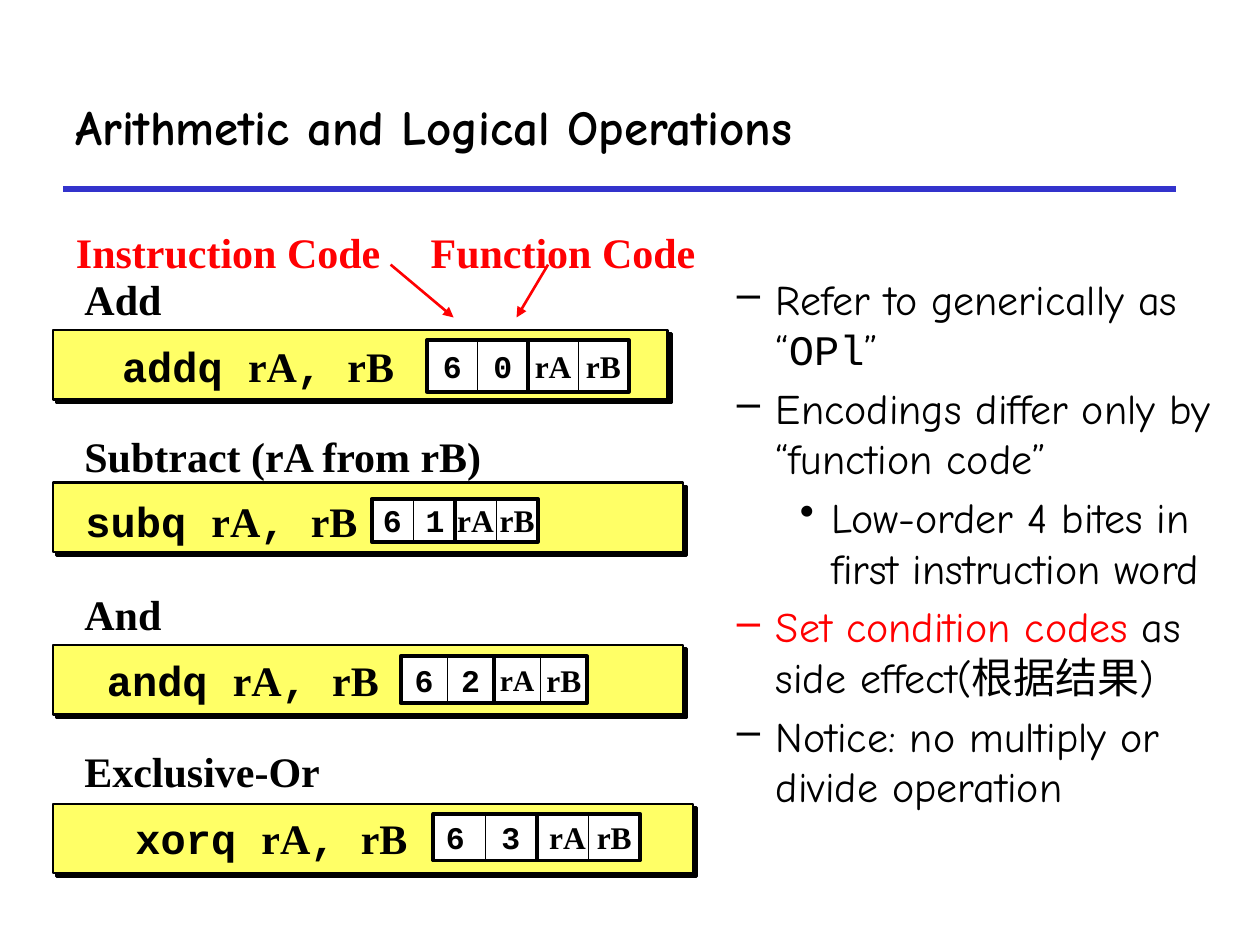
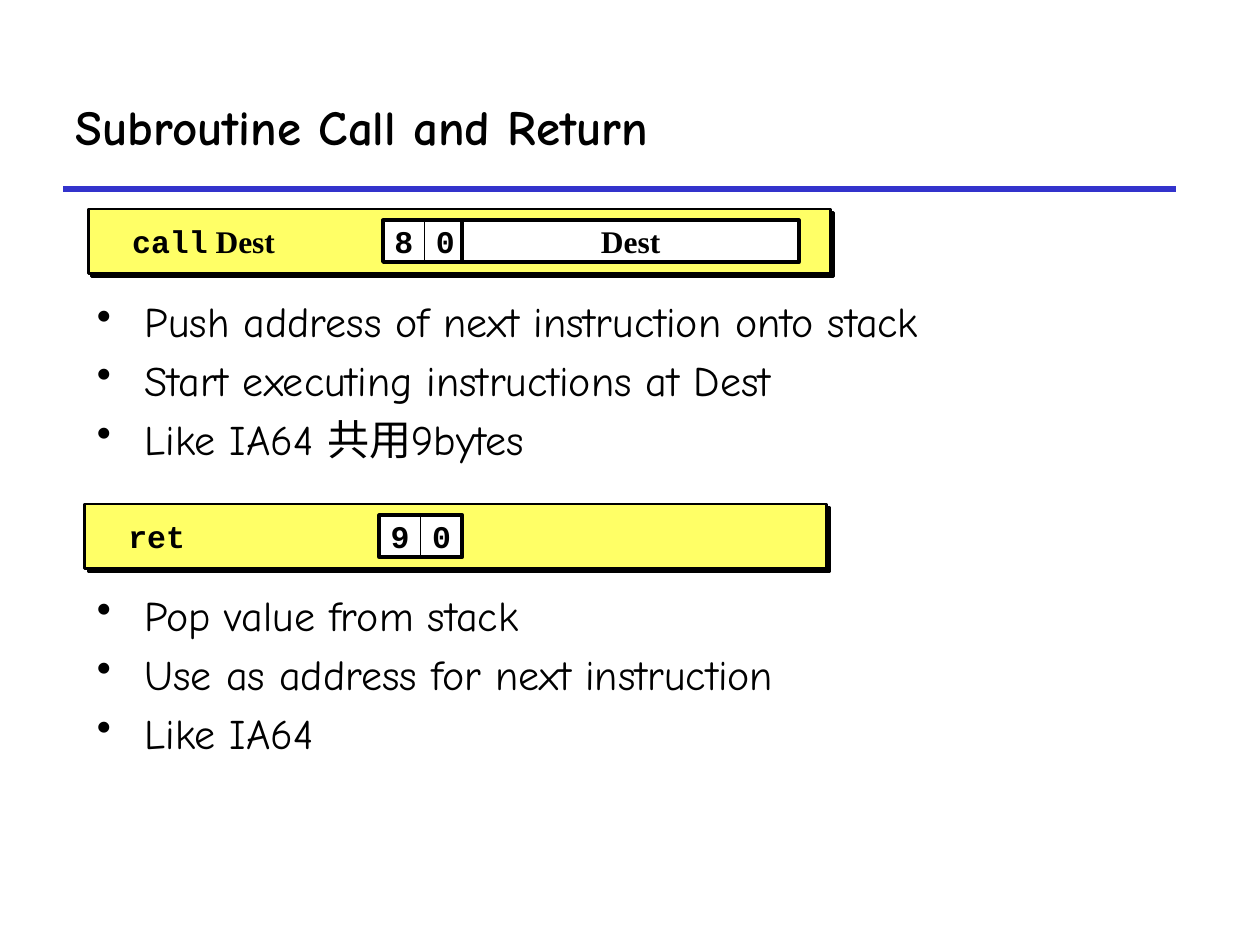
from lxml import etree
from pptx import Presentation
from pptx.dml.color import RGBColor
from pptx.enum.shapes import MSO_CONNECTOR, MSO_SHAPE
from pptx.enum.text import MSO_ANCHOR, PP_ALIGN
from pptx.oxml.ns import qn
from pptx.util import Inches, Pt

RECTANGLE = MSO_SHAPE.RECTANGLE
STRAIGHT = MSO_CONNECTOR.STRAIGHT
TOP, MIDDLE = MSO_ANCHOR.TOP, MSO_ANCHOR.MIDDLE
LEFT, CENTER, RIGHT = PP_ALIGN.LEFT, PP_ALIGN.CENTER, PP_ALIGN.RIGHT

BLACK = RGBColor(0x00, 0x00, 0x00)
WHITE = RGBColor(0xFF, 0xFF, 0xFF)
YELLOW = RGBColor(0xFF, 0xFF, 0x66)
RULE_BLUE = RGBColor(0x33, 0x33, 0xCC)
RED = RGBColor(0xFF, 0x00, 0x00)
CALLOUT_RED = RGBColor(0xFF, 0x00, 0x02)

COMIC, MONO, SERIF = "Comic Neue", "Courier New", "Times New Roman"

BULLETS = {0: ("•", 0.38, -0.38), 1: ("–", 0.81, -0.31), 2: ("•", 1.25, -0.25)}

ARITHMETIC_TITLE = "Arithmetic and Logical Operations"
CALLOUTS = [
    ("Instruction Code", 0.3, 2.77, (3.1, 2.1), (3.6, 2.52)),
    ("Function Code", 3.26, 2.31, (4.35, 2.1), (4.1, 2.52)),
]
OPERATIONS = [
    dict(label="Add", label_width=0.75, mnemonic="addq", code="0",
         bar=(2.62, 4.88), name_left=0.87, fields=(3.39, 2.7, 0.4, 0.41)),
    dict(label="Subtract (rA from rB)", label_width=3.76, mnemonic="subq", code="1",
         bar=(3.83, 5), name_left=0.58, fields=(2.95, 3.96, 0.33, 0.34),
         left_aligned=("1",)),
    dict(label="And", label_width=0.73, mnemonic="andq", code="2",
         bar=(5.12, 5), name_left=0.75, fields=(3.18, 5.21, 0.37, 0.37),
         sizes={"rA": 17}),
    dict(label="Exclusive-Or", label_width=2.13, mnemonic="xorq", code="3",
         bar=(6.38, 5.08), name_left=0.87, fields=(3.44, 6.46, 0.41, 0.37),
         left_aligned=("6", "rA"), name_align=CENTER),
]
OPERATION_NOTES = [
    (1, [("Refer to generically as “", COMIC, BLACK), ("OPl", MONO, BLACK), ("”", COMIC, BLACK)]),
    (1, [("Encodings differ only by “function code”", COMIC, BLACK)]),
    (2, [("Low-order 4 bites in first instruction word", COMIC, BLACK)]),
    (1, [("Set condition codes", COMIC, RED), (" as side effect(根据结果)", COMIC, BLACK)]),
    (1, [("Notice: no multiply or divide operation", COMIC, BLACK)]),
]

SUBROUTINE_TITLE = "Subroutine Call and Return"
SUBROUTINES = [
    dict(name=[("call", MONO), (" Dest", SERIF)], codes="80", target="Dest",
         origin=(0.7, 1.66), notes_top=2.3,
         notes=["Push address of next instruction onto stack",
                "Start executing instructions at Dest",
                "Like IA64 共用9bytes"]),
    dict(name=[("ret", MONO)], codes="90", target=None,
         origin=(0.67, 4), notes_top=4.63,
         notes=["Pop value from stack",
                "Use as address for next instruction",
                "Like IA64"]),
]


def box(at):
    return [Inches(length) for length in at]


def add_run(paragraph, text, font, size, color=BLACK, bold=True):
    run = paragraph.add_run()
    run.text = text
    run.font.name, run.font.size = font, Pt(size)
    run.font.bold, run.font.color.rgb = bold, color


def set_frame(frame, anchor, wrap, inset_x=0.1):
    frame.word_wrap, frame.vertical_anchor = wrap, anchor
    frame.margin_left = frame.margin_right = Inches(inset_x)
    frame.margin_top = frame.margin_bottom = Inches(0.05)


def add_text(slide, at, runs, size, align=LEFT, anchor=MIDDLE, wrap=False, inset_x=0.1, color=BLACK):
    frame = slide.shapes.add_textbox(*box(at)).text_frame
    set_frame(frame, anchor, wrap, inset_x)
    frame.paragraphs[0].alignment = align
    for text, font in runs:
        add_run(frame.paragraphs[0], text, font, size, color)


def add_rectangle(slide, at, fill, line_width):
    rectangle = slide.shapes.add_shape(RECTANGLE, *box(at))
    rectangle.shadow.inherit = False
    if fill is None:
        rectangle.fill.background()
    else:
        rectangle.fill.solid()
        rectangle.fill.fore_color.rgb = fill
    rectangle.line.color.rgb = BLACK
    rectangle.line.width = Pt(line_width)
    return rectangle


def add_bar(slide, at):
    bar = add_rectangle(slide, at, YELLOW, 1.5)
    effects = bar._element.spPr.find(qn("a:effectLst"))
    shadow = etree.SubElement(effects, qn("a:outerShdw"), dist=str(Pt(2.8)),
                              dir="2700000", algn="ctr", rotWithShape="0")
    etree.SubElement(shadow, qn("a:srgbClr"), val=str(BLACK))


def add_field(slide, at, text, font, size=18, align=CENTER, line_width=0.5):
    field = add_rectangle(slide, at, WHITE, line_width)
    set_frame(field.text_frame, MIDDLE, False)
    paragraph = field.text_frame.paragraphs[0]
    paragraph.alignment = align
    add_run(paragraph, text, font, size)


def add_field_pair(slide, at, texts, font, sizes={}, left_aligned=()):
    left, top, width, height = at
    for i, text in enumerate(texts):
        add_field(slide, (left + i * width, top, width, height), text, font,
                  sizes.get(text, 18), LEFT if text in left_aligned else CENTER)
    add_rectangle(slide, (left, top, 2 * width, height), None, 2.25)


def add_line(slide, start, end, color, width, arrow=False):
    line = slide.shapes.add_connector(STRAIGHT, *box(start + end))
    line.line.color.rgb = color
    line.line.width = Pt(width)
    if arrow:
        etree.SubElement(line.line._get_or_add_ln(), qn("a:tailEnd"), type="triangle")
    etree.SubElement(line._element.spPr, qn("a:effectLst"))


def add_notes(slide, at, notes):
    frame = slide.shapes.add_textbox(*box(at)).text_frame
    set_frame(frame, TOP, True)
    for i, (level, runs) in enumerate(notes):
        paragraph = frame.add_paragraph() if i else frame.paragraphs[0]
        bullet, margin, indent = BULLETS[level]
        properties = paragraph._p.get_or_add_pPr()
        properties.set("marL", str(Inches(margin)))
        properties.set("indent", str(Inches(indent)))
        etree.SubElement(properties, qn("a:buChar"), char=bullet)
        paragraph.level = level
        if i:
            paragraph.space_before = Pt(4.8)
        for text, font, color in runs:
            add_run(paragraph, text, font, 24, color, bold=False)


def add_titled_slide(deck, title):
    slide = deck.slides.add_slide(deck.slide_layouts[6])
    add_line(slide, (0.5, 1.5), (9.33, 1.5), RULE_BLUE, 3)
    add_text(slide, (0.5, 0.5, 8.83, 1), [(title, COMIC)], 28, wrap=True)
    return slide


def build_arithmetic(deck):
    slide = add_titled_slide(deck, ARITHMETIC_TITLE)
    add_notes(slide, (5.25, 2.12, 4.65, 5.05), OPERATION_NOTES)
    for i, operation in enumerate(OPERATIONS):
        bar_top, bar_width = operation["bar"]
        left, top, width, height = operation["fields"]
        name_left = operation["name_left"]
        left_aligned = operation.get("left_aligned", ())
        add_bar(slide, (0.42, bar_top, bar_width, 0.55))
        name = [(operation["mnemonic"] + " ", MONO), ("rA", SERIF), (", ", MONO), ("rB", SERIF)]
        add_text(slide, (name_left, top, left - name_left, height), name, 24,
                 operation.get("name_align", LEFT))
        add_field_pair(slide, (left, top, width, height), ("6", operation["code"]), MONO,
                       left_aligned=left_aligned)
        add_field_pair(slide, (left + 2 * width, top, width, height), ("rA", "rB"), SERIF,
                       operation.get("sizes", {}), left_aligned)
        add_text(slide, (0.62, 2.12 + 1.25 * i, operation["label_width"], 0.51),
                 [(operation["label"], SERIF)], 24, anchor=TOP, inset_x=0.05)
    for text, left, width, start, end in CALLOUTS:
        add_line(slide, start, end, CALLOUT_RED, 1.5, arrow=True)
        add_text(slide, (left, 1.75, width, 0.51), [(text, SERIF)], 24, RIGHT, TOP,
                 inset_x=0.05, color=CALLOUT_RED)


def build_subroutines(deck):
    slide = add_titled_slide(deck, SUBROUTINE_TITLE)
    for routine in SUBROUTINES:
        left, top = routine["origin"]
        row = top + 0.09
        notes = [(0, [(text, COMIC, BLACK)]) for text in routine["notes"]]
        add_notes(slide, (0.67, routine["notes_top"], 8.43, 1.7), notes)
        add_bar(slide, (left, top, 5.89, 0.51))
        add_text(slide, (left + 0.25, row, 2.09, 0.33), routine["name"], 18)
        add_field_pair(slide, (left + 2.34, row, 0.33, 0.33), routine["codes"], MONO)
        if routine["target"]:
            add_field(slide, (left + 2.97, row, 2.67, 0.33), routine["target"], SERIF,
                      line_width=2.25)


def main():
    deck = Presentation()
    deck.slide_width, deck.slide_height = Inches(10), Inches(7.5)
    build_arithmetic(deck)
    build_subroutines(deck)
    deck.save("out.pptx")


if __name__ == "__main__":
    main()
